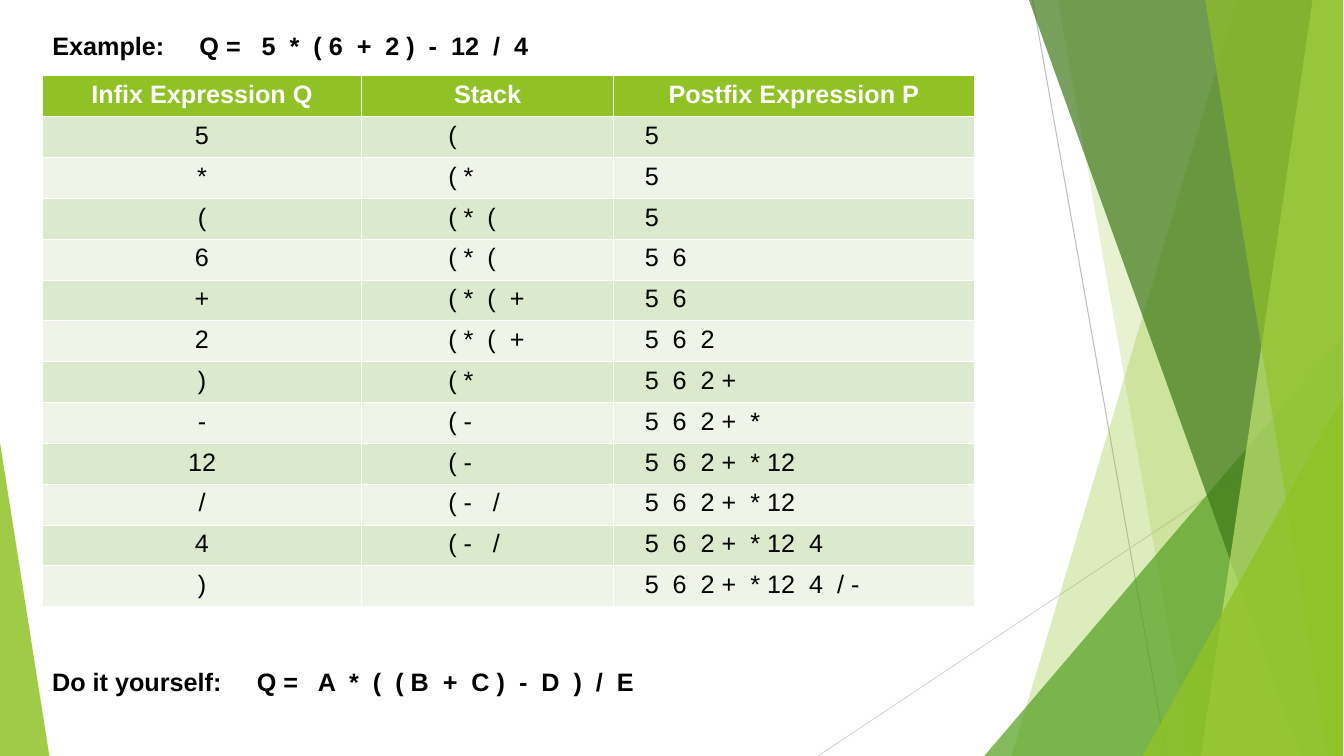
from lxml import etree
from pptx import Presentation
from pptx.dml.color import RGBColor
from pptx.enum.shapes import MSO_CONNECTOR, MSO_SHAPE
from pptx.enum.text import MSO_ANCHOR, MSO_AUTO_SIZE, PP_ALIGN
from pptx.oxml.ns import qn
from pptx.util import Inches, Pt

STRAIGHT = MSO_CONNECTOR.STRAIGHT
TRIANGLE = MSO_SHAPE.ISOSCELES_TRIANGLE
TOP = MSO_ANCHOR.TOP
GROW = MSO_AUTO_SIZE.SHAPE_TO_FIT_TEXT
LEFT, CENTER = PP_ALIGN.LEFT, PP_ALIGN.CENTER

WHITE = RGBColor(0xFF, 0xFF, 0xFF)
BLACK = RGBColor(0x00, 0x00, 0x00)
GREEN = RGBColor(0x90, 0xC2, 0x26)
MID_GREEN = RGBColor(0x54, 0xA0, 0x21)
DARK_GREEN = RGBColor(0x3F, 0x78, 0x19)
LIGHT_GREEN = RGBColor(0xC0, 0xE4, 0x74)
ROW_DARK = RGBColor(0xDB, 0xE9, 0xCD)
ROW_LIGHT = RGBColor(0xEE, 0xF4, 0xE8)
GRAY = RGBColor(0xBF, 0xBF, 0xBF)
PALE_GRAY = RGBColor(0xD9, 0xD9, 0xD9)

RIGHT_EDGE, BOTTOM_EDGE = 13.33, 7.5


def style_text(paragraph, color, bold, alignment):
    paragraph.alignment = alignment
    paragraph.font.name = "Arial"
    paragraph.font.size = Pt(18)
    paragraph.font.bold = bold
    paragraph.font.color.rgb = color


def write_expression(box, top, text, tab_stop):
    box.left, box.top, box.width, box.height = (
        Inches(0.42), Inches(top), Inches(9.08), Inches(0.4))
    frame = box.text_frame
    frame.word_wrap = True
    frame.auto_size = GROW
    frame.vertical_anchor = TOP
    paragraph = frame.paragraphs[0]
    paragraph.text = text
    tabs = etree.SubElement(paragraph._p.get_or_add_pPr(), qn("a:tabLst"))
    etree.SubElement(tabs, qn("a:tab"), pos=str(Inches(tab_stop)), algn="l")
    style_text(paragraph, BLACK, True, LEFT)
    paragraph.line_spacing = 1.0
    paragraph.space_before = Pt(0)


prs = Presentation()
prs.slide_width, prs.slide_height = Inches(13.34), Inches(7.5)
slide = prs.slides.add_slide(prs.slide_layouts[5])
shapes = slide.shapes

rays = [
    (10.25, 0, 11.58, BOTTOM_EDGE, GRAY),
    (RIGHT_EDGE, 4.03, 8.12, BOTTOM_EDGE, PALE_GRAY),
]
for x1, y1, x2, y2, color in rays:
    ray = shapes.add_connector(STRAIGHT, Inches(x1), Inches(y1), Inches(x2), Inches(y2))
    ray.line.color.rgb = color
    ray.line.width = Pt(0.75)
    etree.SubElement(ray._element.spPr, qn("a:effectLst"))

facets = [
    ("band", (12.28, 10.04), GREEN, 30),
    ("band", (10.5, 11.82), GREEN, 20),
    ("triangle", (9.77, 3.33, 3.56, 1), MID_GREEN, 72),
    ("band", (10.21, 12.91), DARK_GREEN, 70),
    ("band", (13.03, 11.92), LIGHT_GREEN, 70),
    ("band", (11.96, 13.18), GREEN, 65),
    ("triangle", (11.34, 3.93, 1.99, 1), GREEN, 80),
    ("triangle", (0, 4.39, 0.49, 0), GREEN, 85),
]
for kind, geometry, color, opacity in facets:
    if kind == "band":
        top_x, bottom_x = geometry
        outline = shapes.build_freeform(Inches(top_x), Inches(-0.01))
        outline.add_line_segments([
            (Inches(RIGHT_EDGE), Inches(-0.01)),
            (Inches(RIGHT_EDGE), Inches(BOTTOM_EDGE)),
            (Inches(bottom_x), Inches(BOTTOM_EDGE)),
        ], close=True)
        facet = outline.convert_to_shape()
    else:
        left, top, width, apex = geometry
        facet = shapes.add_shape(TRIANGLE, Inches(left), Inches(top),
                                 Inches(width), Inches(BOTTOM_EDGE - top))
        facet.adjustments[0] = apex
    facet.shadow.inherit = False
    facet.line.fill.background()
    facet.fill.solid()
    facet.fill.fore_color.rgb = color
    fill_color = facet._element.spPr.find(qn("a:solidFill"))[0]
    etree.SubElement(fill_color, qn("a:alpha"), val=str(opacity * 1000))

write_expression(shapes.title, 0.25, "Example:\tQ =   5  *  ( 6  +  2 )  -  12  /  4", 1.46)

steps = [
    ("Infix Expression Q", "Stack", "Postfix Expression P"),
    ("5", "(", "5"),
    ("*", "( *", "5"),
    ("(", "( *  (", "5"),
    ("6", "( *  (", "5  6"),
    ("+", "( *  (  +", "5  6"),
    ("2", "( *  (  +", "5  6  2"),
    (")", "( *", "5  6  2 +"),
    ("-", "( -", "5  6  2 +  *"),
    ("12", "( -", "5  6  2 +  * 12"),
    ("/", "( -   /", "5  6  2 +  * 12"),
    ("4", "( -   /", "5  6  2 +  * 12  4"),
    (")", "", "5  6  2 +  * 12  4  / -"),
]
column_widths = [3.17, 2.5, 3.58]
body_indents = [0.1, 0.86, 0.31]
conversion = shapes.add_table(len(steps), len(column_widths), Inches(0.42), Inches(0.75),
                              Inches(sum(column_widths)), Inches(5.27)).table
for column, width in zip(conversion.columns, column_widths):
    column.width = Inches(width)

for r, step in enumerate(steps):
    is_header = r == 0
    for c, text in enumerate(step):
        cell = conversion.cell(r, c)
        cell.text = text
        cell.margin_left = Inches(0.1 if is_header else body_indents[c])
        style_text(cell.text_frame.paragraphs[0], WHITE if is_header else BLACK, is_header,
                   CENTER if is_header or c == 0 else LEFT)
        cell_properties = cell._tc.get_or_add_tcPr()
        for side in ("L", "R", "T", "B"):
            under_header = (r, side) in ((0, "B"), (1, "T"))
            border = etree.SubElement(cell_properties, qn(f"a:ln{side}"),
                                      w=str(Pt(1.47 if under_header else 0.45)))
            border_fill = etree.SubElement(border, qn("a:solidFill"))
            etree.SubElement(border_fill, qn("a:srgbClr"), val=str(WHITE))
        cell.fill.solid()
        cell.fill.fore_color.rgb = GREEN if is_header else ROW_DARK if r % 2 else ROW_LIGHT

exercise = shapes.add_textbox(0, 0, 0, 0)
write_expression(exercise, 6.56, "Do it yourself:\tQ =   A  *  (  ( B  +  C )  -  D  )  /  E", 2.03)

prs.save("out.pptx")
